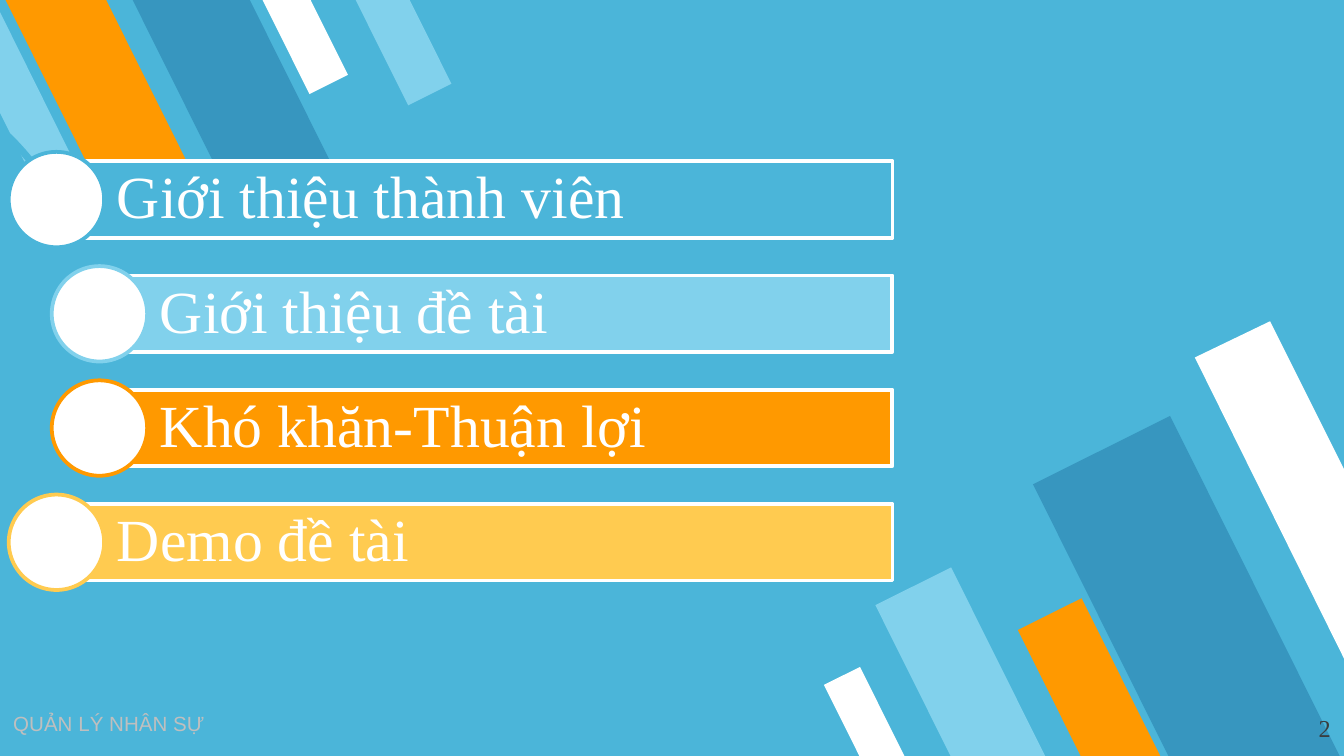
from dataclasses import dataclass

import pptx
import pptx.dml.color
import pptx.enum.shapes
import pptx.enum.text
import pptx.util

Inches = pptx.util.Inches
Pt = pptx.util.Pt
SHAPES = pptx.enum.shapes.MSO_SHAPE
ALIGN = pptx.enum.text.PP_ALIGN
ANCHOR = pptx.enum.text.MSO_ANCHOR


@dataclass(frozen=True)
class Theme:
    sky: str = "4BB5D9"
    light: str = "81D1EC"
    deep: str = "3796BF"
    orange: str = "FF9900"
    yellow: str = "FFCB50"
    white: str = "FFFFFF"
    grey: str = "BFBFBF"
    ink: str = "393D40"
    serif: str = "Times New Roman"
    sans: str = "Arial"
    topic_size: int = 32
    number_size: int = 13
    footer_size: int = 11
    outline: int = 2


THEME = Theme()

# left, top, width, height, colour
LOWER_STRIPES = [
    (6.83, 4.28, 0.63, 1.57, THEME.light),
    (8.26, 3.2, 1.14, 2.84, THEME.deep),
    (7.84, 4.5, 0.53, 1.32, THEME.orange),
    (6.28, 4.99, 0.3, 0.74, THEME.white),
]
UPPER_STRIPES = [
    (2.11, -0.12, 0.32, 0.79, THEME.white),
    (0.37, -0.26, 0.67, 1.68, THEME.orange),
    (1.38, -0.28, 0.78, 1.95, THEME.deep),
    (2.82, -0.14, 0.36, 0.89, THEME.light),
]
LOWER_EDGE = [(9.45, 2.39), (8.89, 2.66), (10, 4.9), (10, 3.49)]
UPPER_EDGE = [(0.29, 1.42), (0.59, 1.28), (0, 0.09), (0, 0.84)]

# text, left, colour
TOPICS = [
    ("Giới thiệu thành viên", 0.42, THEME.sky),
    ("Giới thiệu đề tài", 0.74, THEME.light),
    ("Khó khăn-Thuận lợi", 0.74, THEME.orange),
    ("Demo đề tài", 0.42, THEME.yellow),
]
BAR_TOP, BAR_STEP, BAR_HEIGHT, BAR_RIGHT = 1.2, 0.85, 0.57, 6.64
CIRCLE = 0.71


def rgb(colour):
    return pptx.dml.color.RGBColor.from_string(colour)


def paint(shape, fill=None, line=None):
    shape.shadow.inherit = False
    if fill:
        shape.fill.solid()
        shape.fill.fore_color.rgb = rgb(fill)
    else:
        shape.fill.background()
    if line:
        shape.line.color.rgb = rgb(line)
        shape.line.width = Pt(THEME.outline)
    else:
        shape.line.fill.background()


def add_preset(slide, preset, left, top, width, height, **colours):
    shape = slide.shapes.add_shape(
        preset, Inches(left), Inches(top), Inches(width), Inches(height))
    paint(shape, **colours)
    return shape


def write(shape, text, *, size, font, colour, align=ALIGN.LEFT,
          anchor=ANCHOR.TOP, insets=(0.1, 0.05, 0.1, 0.05), spacing=None):
    frame = shape.text_frame
    frame.word_wrap = True
    frame.vertical_anchor = anchor
    (frame.margin_left, frame.margin_top,
     frame.margin_right, frame.margin_bottom) = map(Inches, insets)
    paragraph = frame.paragraphs[0]
    paragraph.alignment = align
    paragraph.line_spacing = spacing
    run = paragraph.add_run()
    run.text = text
    run.font.size = Pt(size)
    run.font.name = font
    run.font.color.rgb = rgb(colour)


def add_label(slide, text, left, top, width, height, **text_format):
    box = slide.shapes.add_textbox(
        Inches(left), Inches(top), Inches(width), Inches(height))
    write(box, text, **text_format)


def add_stripes(slide, stripes, rotation):
    for left, top, width, height, colour in stripes:
        stripe = add_preset(slide, SHAPES.FLOWCHART_MANUAL_INPUT,
                            left, top, width, height, fill=colour)
        stripe.rotation = rotation
        stripe._element.spPr.xfrm.set("flipH", "1")


def add_edge_stripe(slide, points, colour):
    """Draw a stripe that the slide edge cuts off."""
    start, *rest = [(Inches(x), Inches(y)) for x, y in points]
    builder = slide.shapes.build_freeform(*start)
    builder.add_line_segments(rest, close=True)
    paint(builder.convert_to_shape(), fill=colour)


def add_arc(slide):
    arc = add_preset(slide, SHAPES.BLOCK_ARC, -4.17, 0.28, 4.97, 4.97,
                     line=THEME.sky)
    for index, value in enumerate((189, 27, 0.005)):
        arc.adjustments[index] = value


def add_topic(slide, text, left, top, colour):
    """Draw a bar with a circle centred on its left end."""
    bar = add_preset(slide, SHAPES.RECTANGLE, left, top, BAR_RIGHT - left,
                     BAR_HEIGHT, fill=colour, line=THEME.white)
    write(bar, text, size=THEME.topic_size, font=THEME.serif,
          colour=THEME.white, anchor=ANCHOR.MIDDLE,
          insets=(0.45, 0.09, 0.09, 0.09), spacing=0.9)
    add_preset(slide, SHAPES.OVAL, left - CIRCLE / 2,
               top + (BAR_HEIGHT - CIRCLE) / 2, CIRCLE, CIRCLE,
               fill=THEME.white, line=colour)


def main():
    deck = pptx.Presentation()
    deck.slide_width = Inches(10)
    deck.slide_height = deck.slide_width * 9 // 16
    slide = deck.slides.add_slide(deck.slide_layouts[6])
    slide.background.fill.solid()
    slide.background.fill.fore_color.rgb = rgb(THEME.sky)

    add_label(slide, "QUẢN LÝ NHÂN SỰ", 0, 5.24, 4.2, 0.29,
              size=THEME.footer_size, font=THEME.sans, colour=THEME.grey)
    add_stripes(slide, LOWER_STRIPES, 153.5)
    add_edge_stripe(slide, LOWER_EDGE, THEME.white)
    add_stripes(slide, UPPER_STRIPES, 333.5)
    add_edge_stripe(slide, UPPER_EDGE, THEME.light)
    add_label(slide, "2", 7.67, 5.21, 2.33, 0.3, size=THEME.number_size,
              font=THEME.serif, colour=THEME.ink, align=ALIGN.RIGHT,
              insets=(0.1, 0.1, 0.1, 0.1))

    add_arc(slide)
    for row, (text, left, colour) in enumerate(TOPICS):
        add_topic(slide, text, left, BAR_TOP + row * BAR_STEP, colour)

    deck.save("out.pptx")


if __name__ == "__main__":
    main()
